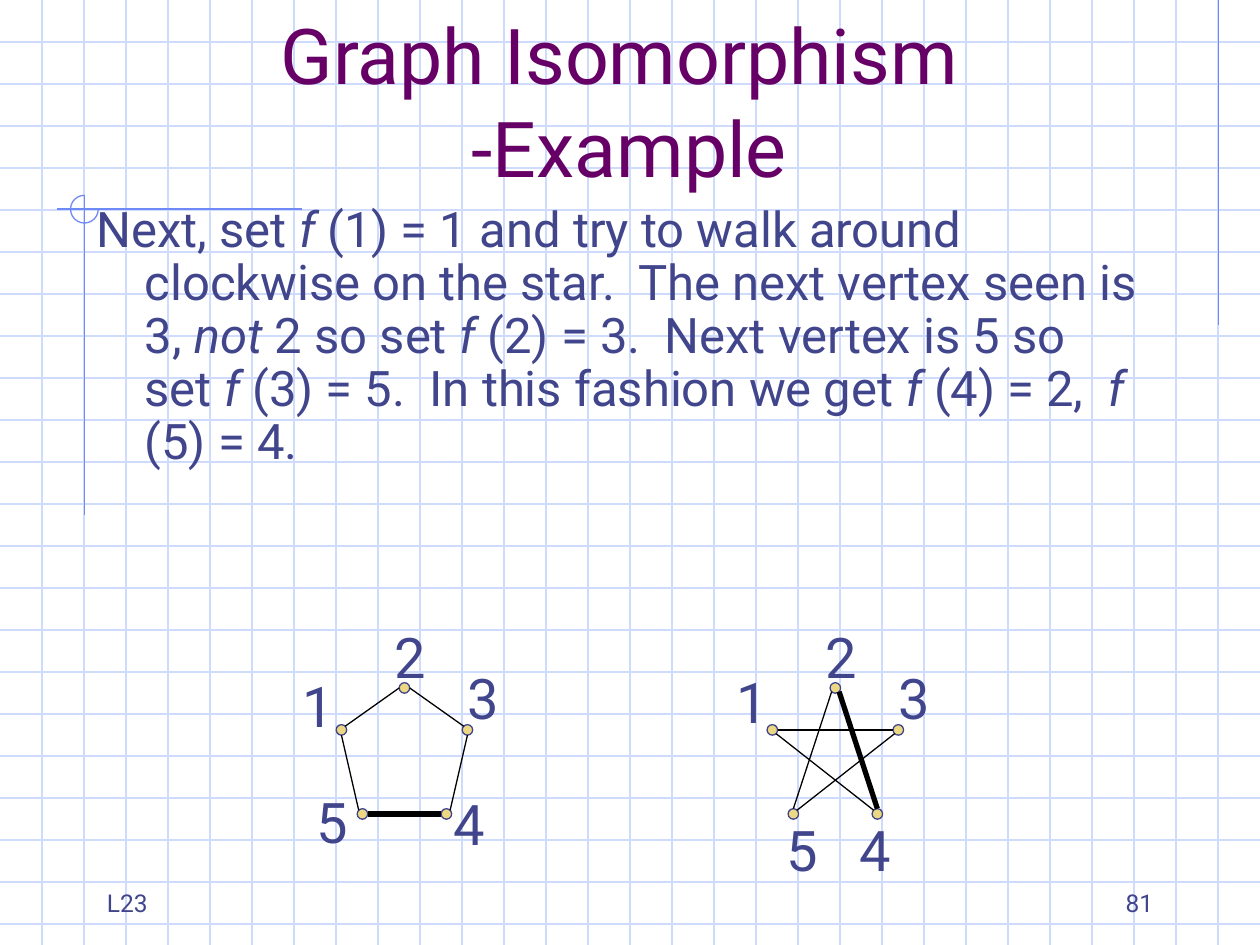
"""Build the graph isomorphism slide with a pentagon and a star."""
from dataclasses import dataclass
from math import cos, radians, sin

from lxml import etree
from pptx import Presentation
from pptx.dml.color import RGBColor
from pptx.enum import shapes as kinds, text as texts
from pptx.oxml.ns import qn
from pptx.util import Inches, Pt

FONT = "Roboto"
INK, PLUM, BLACK, GOLD = "40458C", "660066", "000000", "ECD882"
PALE, BLUE = "CFDBFD", "6F89F7"
WIDE, HIGH, STEP = 10, 7.5, 1 / 3
RADIUS = 1 / 24
DOTS = {1: (0, 1 / 3), 2: (0.5, 0), 3: (1, 1 / 3), 4: (5 / 6, 1), 5: (1 / 6, 1)}
EAST, SE, SOUTH, SW, WEST, NW, NORTH, NE = range(0, 360, 45)


@dataclass
class Edge:
    """Join two dots, leaving and entering at the given angles."""
    start: int
    exit: int
    end: int
    entry: int
    width: float = 0.75


@dataclass
class Graph:
    """Hold the place, edges and label places of one graph."""
    left: float
    top: float
    edges: list[Edge]
    labels: dict[int, tuple[float, float]]


GRAPHS = [
    Graph(
        2.71, 5.46,
        [Edge(1, SOUTH, 5, NW), Edge(5, EAST, 4, WEST, 3), Edge(3, SOUTH, 4, NE),
         Edge(2, WEST, 1, NE), Edge(2, EAST, 3, NW)],
        {1: (2.3, 5.28), 2: (3.03, 4.89), 3: (3.61, 5.22), 4: (3.5, 6.22), 5: (2.41, 6.2)},
    ),
    Graph(
        6.13, 5.46,
        [Edge(1, EAST, 3, WEST), Edge(5, NE, 3, SW), Edge(4, NW, 1, SE),
         Edge(2, SW, 5, NORTH), Edge(2, SE, 4, NORTH, 3)],
        {1: (5.75, 5.25), 2: (6.45, 4.89), 3: (7.03, 5.22), 4: (6.72, 6.42), 5: (6.14, 6.42)},
    ),
]
STORY = [
    ("Next, set ", False), ("f ", True),
    ("(1) = 1 and try to walk around clockwise on the star.  The next vertex seen is 3, ", False),
    ("not", True), (" 2 so set ", False), ("f ", True),
    ("(2) = 3.  Next vertex is 5 so set ", False), ("f ", True),
    ("(3) = 5.  In this fashion we get ", False), ("f ", True),
    ("(4) = 2,  ", False), ("f ", True), ("(5) = 4.", False),
]


def paint(color, tone: str) -> None:
    """Set a colour format from a hex string."""
    color.rgb = RGBColor.from_string(tone)


def style(para, size: float, tone: str) -> None:
    """Format every run of a paragraph."""
    for run in para.runs:
        run.font.name = FONT
        run.font.size = Pt(size)
        paint(run.font.color, tone)


def line(slide, x1: float, y1: float, x2: float, y2: float, tone: str, width: float = 0.75) -> None:
    """Draw a straight line without a shadow."""
    link = slide.shapes.add_connector(
        kinds.MSO_CONNECTOR.STRAIGHT, Inches(x1), Inches(y1), Inches(x2), Inches(y2))
    paint(link.line.color, tone)
    link.line.width = Pt(width)
    etree.SubElement(link.element.spPr, qn("a:effectLst"))


def oval(slide, kind, x: float, y: float, radius: float, tone: str):
    """Draw a round outline about a centre."""
    shape = slide.shapes.add_shape(
        kind, Inches(x - radius), Inches(y - radius), Inches(2 * radius), Inches(2 * radius))
    shape.shadow.inherit = False
    paint(shape.line.color, tone)
    shape.line.width = Pt(0.75)
    return shape


def box(slide, x: float, y: float, w: float, h: float, words: str = "", size: float = 14):
    """Add a wrapped text box and return its frame."""
    frame = slide.shapes.add_textbox(Inches(x), Inches(y), Inches(w), Inches(h)).text_frame
    frame.word_wrap = True
    frame.text = words
    style(frame.paragraphs[0], size, INK)
    return frame


def backdrop(slide) -> None:
    """Draw the squared paper and its corner marks."""
    for row in range(1, 23):
        line(slide, 0, row * STEP, WIDE, row * STEP, PALE)
    for col in range(1, 30):
        line(slide, col * STEP, 0, col * STEP, HIGH, PALE)
    line(slide, 9.67, 0, 9.67, 2.58, BLUE)
    line(slide, 2.4, 1.66, 0.45, 1.66, BLUE)
    line(slide, 0.67, 1.55, 0.67, 4.09, BLUE)
    arc = oval(slide, kinds.MSO_SHAPE.ARC, 0.67, 1.66, 0.11, BLUE)
    arc.fill.background()
    arc.adjustments[0] = 0
    arc.adjustments[1] = 162


def head(slide) -> None:
    """Place and format the title above the backdrop."""
    title = slide.shapes.title
    title.left, title.top = Inches(0.67), Inches(0.33)
    title.width, title.height = Inches(8.5), Inches(1.25)
    frame = title.text_frame
    frame.text = "Graph Isomorphism\v -Example"
    frame.auto_size = texts.MSO_AUTO_SIZE.NONE
    frame.vertical_anchor = texts.MSO_ANCHOR.BOTTOM
    para = frame.paragraphs[0]
    para.alignment = texts.PP_ALIGN.CENTER
    style(para, 44, PLUM)
    title.element.getparent().append(title.element)


def body(slide) -> None:
    """Write the explanation with a hanging indent."""
    para = box(slide, 0.67, 1.58, 8.5, 3.25).paragraphs[0]
    props = para._p.get_or_add_pPr()
    props.set("marL", str(Inches(0.38)))
    props.set("indent", str(Inches(-0.38)))
    para.line_spacing = 0.9
    for words, slant in STORY:
        run = para.add_run()
        run.text = words
        run.font.italic = slant
    style(para, 28, INK)


def draw(slide, graph: Graph) -> None:
    """Draw the dots, edges and labels of a graph."""
    spots = {key: (graph.left + x, graph.top + y) for key, (x, y) in DOTS.items()}

    def rim(key: int, angle: int) -> tuple[float, float]:
        """Find a point on the edge of a dot."""
        x, y = spots[key]
        return x + RADIUS * cos(radians(angle)), y + RADIUS * sin(radians(angle))

    for x, y in spots.values():
        dot = oval(slide, kinds.MSO_SHAPE.OVAL, x, y, RADIUS, INK)
        dot.fill.solid()
        paint(dot.fill.fore_color, GOLD)
    for edge in graph.edges:
        line(slide, *rim(edge.start, edge.exit), *rim(edge.end, edge.entry), BLACK, edge.width)
    for key, (x, y) in graph.labels.items():
        frame = box(slide, x, y, 0.45, 0.64, str(key), 32)
        frame.word_wrap = False
        frame.auto_size = texts.MSO_AUTO_SIZE.SHAPE_TO_FIT_TEXT


def foot(slide) -> None:
    """Write the lecture mark and the page number."""
    for x, words, side in ((7.17, "81", texts.PP_ALIGN.RIGHT), (0.75, "L23", texts.PP_ALIGN.LEFT)):
        frame = box(slide, x, 6.83, 2.08, 0.5, words)
        frame.vertical_anchor = texts.MSO_ANCHOR.BOTTOM
        frame.paragraphs[0].alignment = side


def main() -> None:
    """Build and save the slide."""
    deck = Presentation()
    deck.slide_width, deck.slide_height = Inches(WIDE), Inches(HIGH)
    slide = deck.slides.add_slide(deck.slide_layouts[5])
    backdrop(slide)
    head(slide)
    body(slide)
    for graph in GRAPHS:
        draw(slide, graph)
    foot(slide)
    deck.save("out.pptx")


if __name__ == "__main__":
    main()
